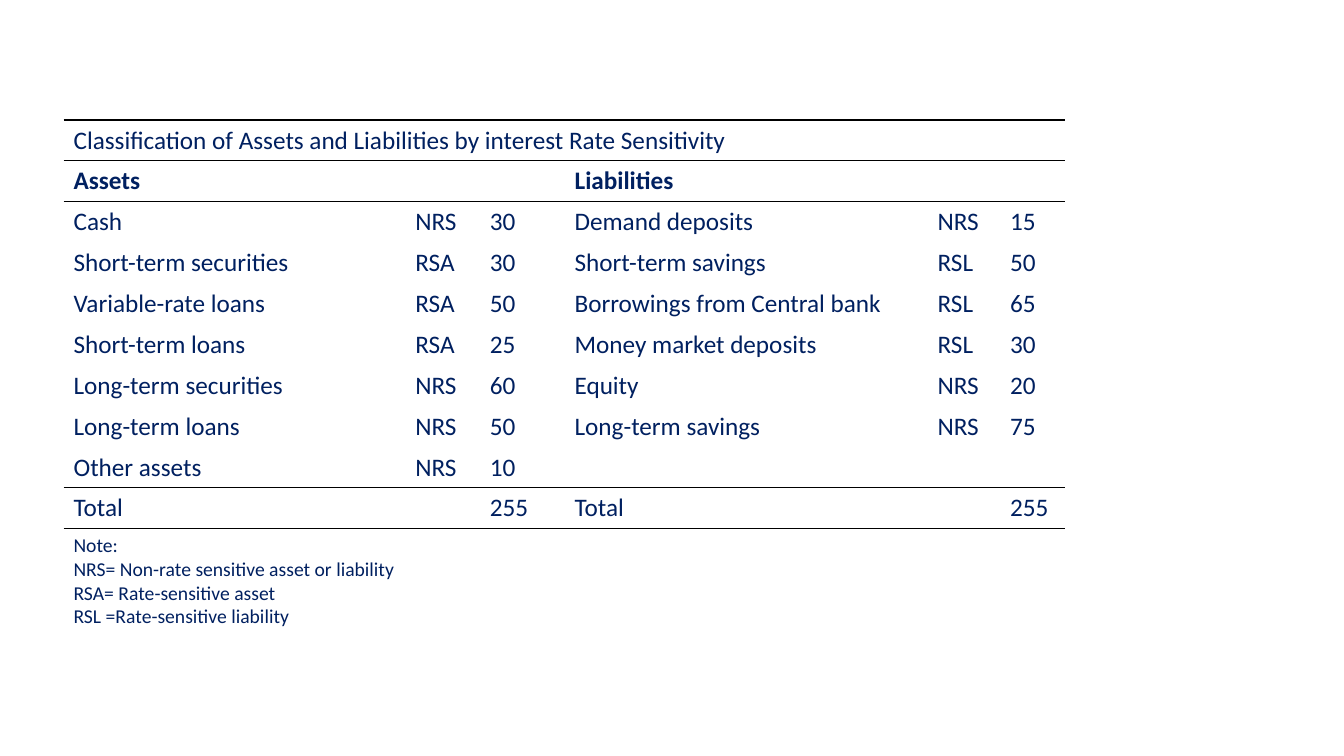
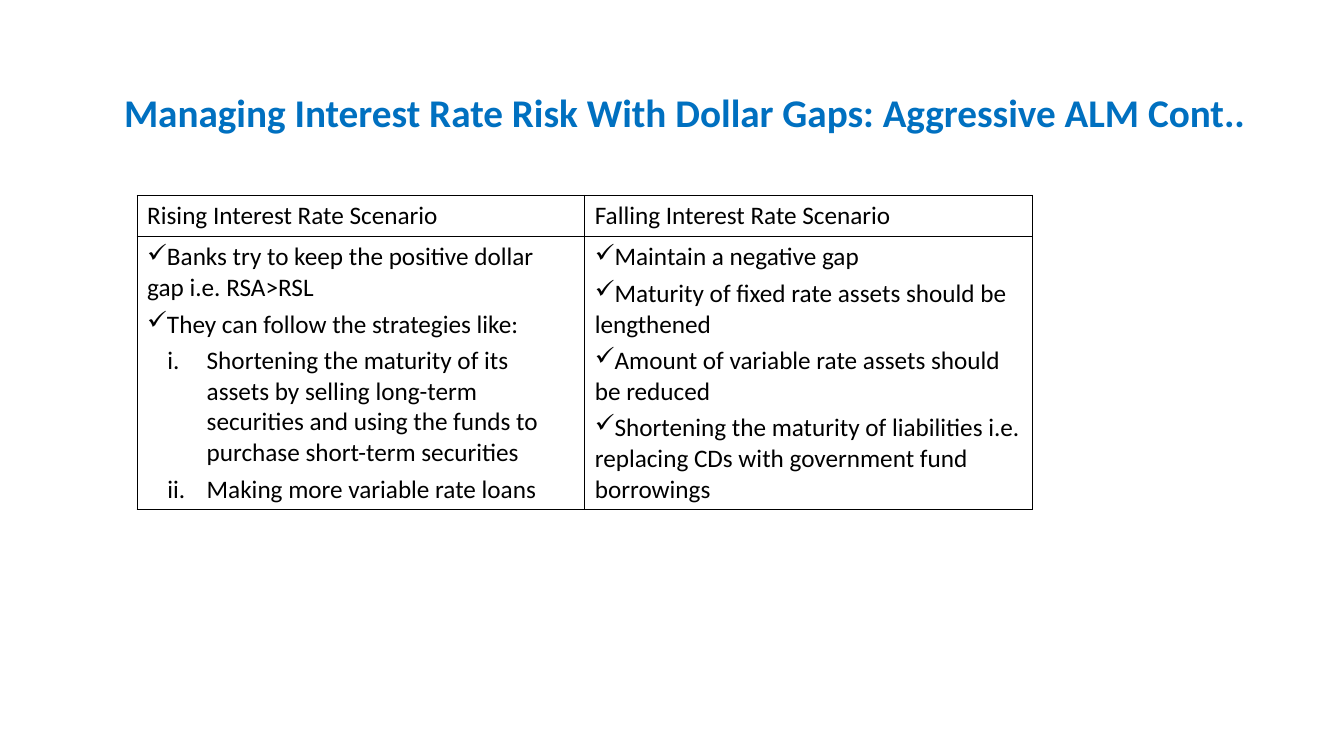
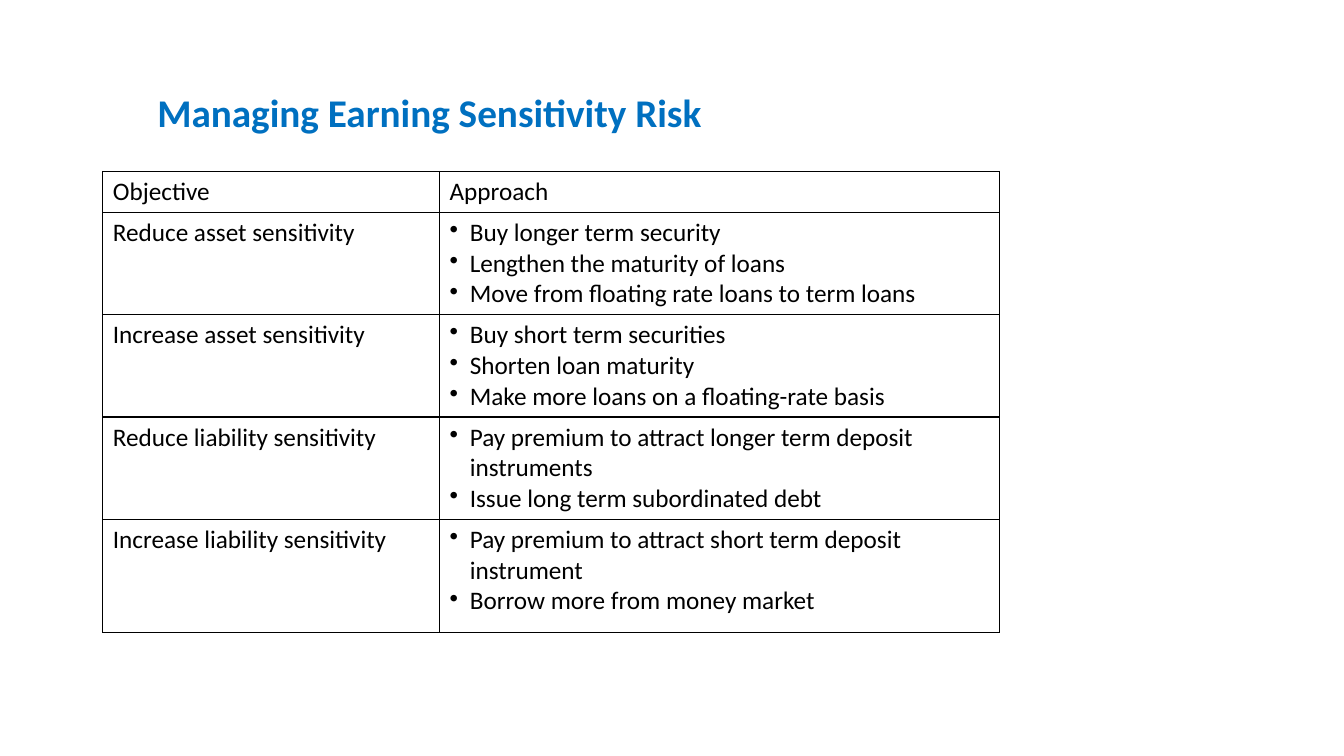
"""Builds three slides of tables on bank interest rate risk management."""
from lxml import etree
from pptx import Presentation
from pptx.dml.color import RGBColor
from pptx.enum.text import MSO_ANCHOR, MSO_AUTO_SIZE, PP_ALIGN
from pptx.oxml.ns import qn
from pptx.util import Inches, Pt

LEFT = PP_ALIGN.LEFT
MIDDLE = MSO_ANCHOR.MIDDLE
NO_FIT = MSO_AUTO_SIZE.NONE
TITLE_ONLY, BLANK = 5, 6
FONT = "Calibri"
COLORS = {"navy": "002060", "blue": "0070C0", "black": "000000"}

LISTS = {
    "check": {"indent": 0, "hanging": 0, "before": 4, "level": 0,
              "tag": "a:buChar", "attribute": ("char", "✓")},
    "roman": {"indent": 0.59, "hanging": 0.39, "before": 4, "level": 1,
              "tag": "a:buAutoNum", "attribute": ("type", "romanLcPeriod")},
    "dot": {"indent": 0.2, "hanging": 0.2, "before": 0, "level": 0,
            "tag": "a:buChar", "attribute": ("char", "•")},
}

BALANCE_TITLE = "Classification of Assets and Liabilities by interest Rate Sensitivity"
BALANCE_HEADS = ["Assets", "", "", "Liabilities", "", ""]
BALANCE = [
    ["Cash", "NRS", "30", "Demand deposits", "NRS", "15"],
    ["Short-term securities", "RSA", "30", "Short-term savings", "RSL", "50"],
    ["Variable-rate loans", "RSA", "50", "Borrowings from Central bank", "RSL", "65"],
    ["Short-term loans", "RSA", "25", "Money market deposits", "RSL", "30"],
    ["Long-term securities", "NRS", "60", "Equity", "NRS", "20"],
    ["Long-term loans", "NRS", "50", "Long-term savings", "NRS", "75"],
    ["Other assets", "NRS", "10", "", "", ""],
    ["Total", "", "255", "Total", "", "255"],
]
BALANCE_NOTES = [
    "Note:",
    "NRS= Non-rate sensitive asset or liability",
    "RSA= Rate-sensitive asset",
    "RSL =Rate-sensitive liability",
]

GAP_TITLE = "Managing Interest Rate Risk With Dollar Gaps: Aggressive ALM Cont.."
GAP_HEADS = ["Rising Interest Rate Scenario", "Falling Interest Rate Scenario"]
RISING = [
    ("check", "Banks try to keep the positive dollar gap i.e. RSA>RSL"),
    ("check", "They can follow the strategies like:"),
    ("roman", "Shortening the maturity of its assets by selling long-term "
              "securities and using the funds to purchase short-term securities"),
    ("roman", "Making more variable rate loans"),
]
FALLING = [
    ("check", "Maintain a negative gap"),
    ("check", "Maturity of fixed rate assets should be lengthened"),
    ("check", "Amount of variable rate assets should be reduced"),
    ("check", "Shortening the maturity of liabilities i.e. replacing CDs with "
              "government fund borrowings"),
]

EARNING_TITLE = "Managing Earning Sensitivity Risk"
APPROACHES = {
    "Reduce asset sensitivity": [
        "Buy longer term security",
        "Lengthen the maturity of loans",
        "Move from floating rate loans to term loans"],
    "Increase asset sensitivity": [
        "Buy short term securities",
        "Shorten loan maturity",
        "Make more loans on a floating-rate basis"],
    "Reduce liability sensitivity": [
        "Pay premium to attract longer term deposit instruments",
        "Issue long term subordinated debt"],
    "Increase liability sensitivity": [
        "Pay premium to attract short term deposit instrument",
        "Borrow more from money market"],
}


def add_span(para, text, size, color, bold=False):
    span = para.add_run()
    span.text = text
    span.font.name = FONT
    span.font.size = Pt(size)
    span.font.bold = bold
    span.font.color.rgb = RGBColor.from_string(COLORS[color])


def add_title(page, text, left):
    title = page.shapes.title
    title.left, title.top = Inches(left), Inches(0.71)
    title.width, title.height = Inches(11.5), Inches(0.86)
    frame = title.text_frame
    frame.word_wrap = True
    frame.auto_size = NO_FIT
    frame.vertical_anchor = MIDDLE
    para = frame.paragraphs[0]
    para.alignment = LEFT
    para.line_spacing = 0.9
    add_span(para, text, 28, "blue", bold=True)


def format_list(para, style, first):
    para.level = style["level"]
    para.space_before = Pt(0 if first else style["before"])
    properties = para._p.get_or_add_pPr()
    properties.set("marL", str(Inches(style["indent"])))
    properties.set("indent", str(-Inches(style["hanging"])))
    etree.SubElement(properties, qn(style["tag"])).set(*style["attribute"])


def fill_cell(cell, content, size, color, bold):
    """Writes a string or a list of (list style, text) items into a cell."""
    items = [(None, content)] if isinstance(content, str) else content
    frame = cell.text_frame
    for index, (style, text) in enumerate(items):
        para = frame.add_paragraph() if index else frame.paragraphs[0]
        if style:
            format_list(para, LISTS[style], index == 0)
        if text:
            add_span(para, text, size, color, bold)


def set_borders(cell, sides):
    """Draws the sides marked true and clears the rest."""
    properties = cell._tc.get_or_add_tcPr()
    for side in "LRTB":
        line = etree.SubElement(properties, qn(f"a:ln{side}"), w=str(Pt(1)))
        if sides[side]:
            fill = etree.SubElement(line, qn("a:solidFill"))
            etree.SubElement(fill, qn("a:srgbClr"), val=COLORS["black"])
        else:
            etree.SubElement(line, qn("a:noFill"))


def add_grid(page, left, top, widths, heights, rows, color="black",
             rules=None, bold_rows=(), sizes=None):
    """Adds a table; rules lists the ruled row edges, or None for a full grid."""
    table = page.shapes.add_table(
        len(rows), len(widths), Inches(left), Inches(top),
        Inches(sum(widths)), Inches(sum(heights))).table
    table.first_row = table.horz_banding = False
    for column, width in zip(table.columns, widths):
        column.width = Inches(width)
    for row, height in zip(table.rows, heights):
        row.height = Inches(height)
    boxed = rules is None
    for r, contents in enumerate(rows):
        sides = {"L": boxed, "R": boxed,
                 "T": boxed or r in rules, "B": boxed or r + 1 in rules}
        for c, content in enumerate(contents):
            cell = table.cell(r, c)
            set_borders(cell, sides)
            cell.fill.background()
            fill_cell(cell, content, (sizes or {}).get(r, 18), color, r in bold_rows)
    return table


def build_balance(page):
    blanks = [""] * 5
    notes = [(None, note) for note in BALANCE_NOTES]
    rows = [[BALANCE_TITLE] + blanks, BALANCE_HEADS, *BALANCE, [notes] + blanks]
    last = len(rows) - 1
    table = add_grid(page, 0.63, 1.19, [3.39, 0.74, 0.84, 3.6, 0.72, 0.64],
                     [0.38] * last + [1.26], rows, "navy",
                     rules=(0, 1, 2, last - 1, last), bold_rows=(1,), sizes={last: 14})
    for row, start, end in [(0, 0, 5), (1, 0, 2), (1, 3, 5), (last, 0, 5)]:
        table.cell(row, start).merge(table.cell(row, end))


def build_gaps(page):
    add_title(page, GAP_TITLE, 1.13)
    add_grid(page, 1.36, 1.94, [4.44] * 2, [0.41, 2.66], [GAP_HEADS, [RISING, FALLING]])


def build_earnings(page):
    add_title(page, EARNING_TITLE, 1.46)
    rows = [["Objective", "Approach"]]
    for objective, steps in APPROACHES.items():
        rows.append([objective, [("dot", step) for step in steps]])
    add_grid(page, 1.02, 1.7, [3.34, 5.55], [0.39] + [0.97] * 3 + [1.12], rows)


def main():
    deck = Presentation()
    deck.slide_width, deck.slide_height = Inches(13.33), Inches(7.5)
    for layout, build in [(BLANK, build_balance), (TITLE_ONLY, build_gaps),
                          (TITLE_ONLY, build_earnings)]:
        build(deck.slides.add_slide(deck.slide_layouts[layout]))
    deck.save("out.pptx")


if __name__ == "__main__":
    main()
